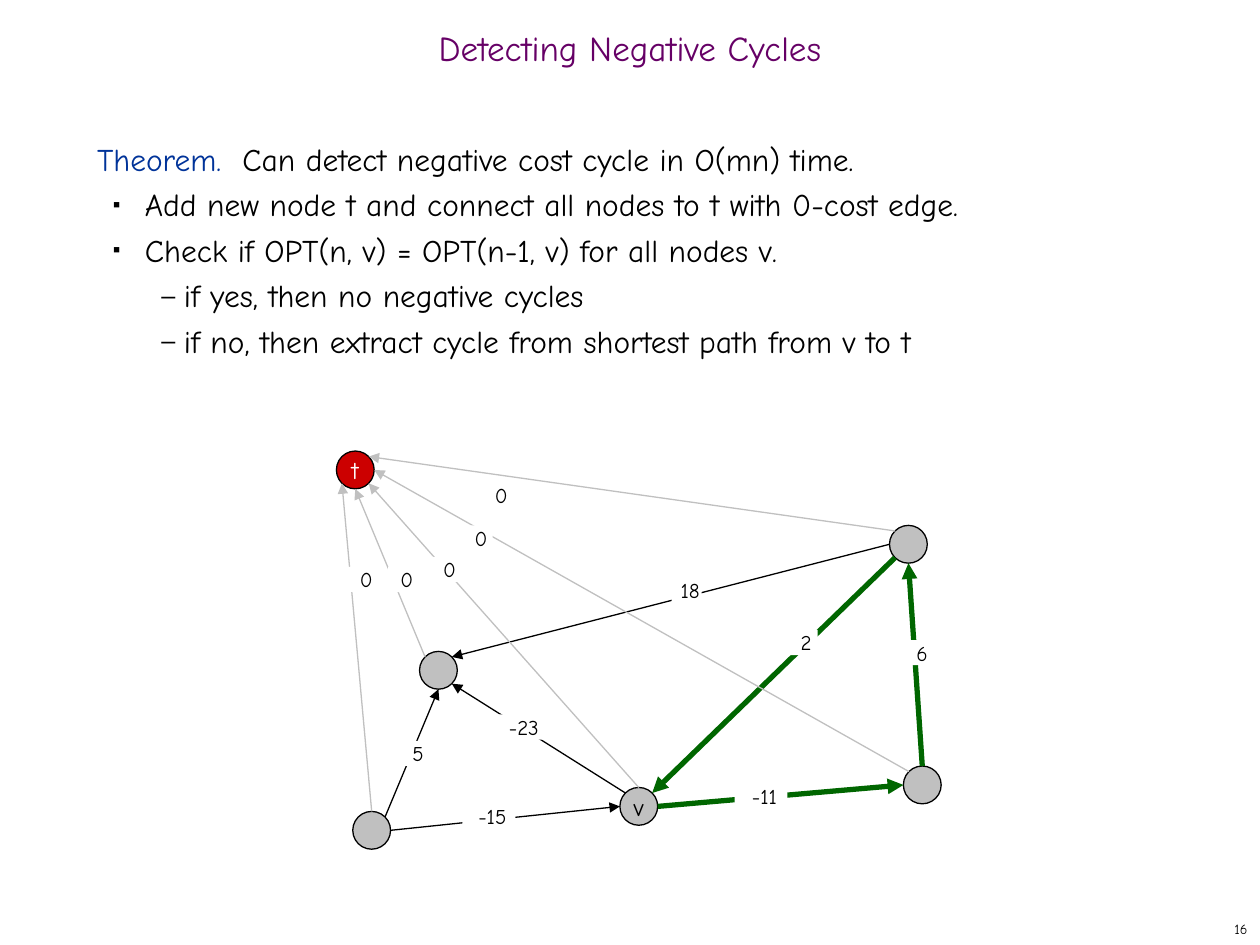
from dataclasses import dataclass
from math import sqrt

from lxml import etree
from pptx import Presentation
from pptx.dml.color import RGBColor
from pptx.enum import shapes, text
from pptx.oxml import ns
from pptx.util import Inches, Pt

FONT = "Comic Neue"
COLORS = {"black": "000000", "white": "FFFFFF", "gray": "C0C0C0", "red": "CC0000",
          "green": "006600", "blue": "003399", "purple": "660066"}
RADIUS = 0.15
DIAG = sqrt(0.5)
COMPASS = {"N": (0, -1), "S": (0, 1), "W": (-1, 0), "E": (1, 0),
           "NW": (-DIAG, -DIAG), "NE": (DIAG, -DIAG),
           "SW": (-DIAG, DIAG), "SE": (DIAG, DIAG)}


@dataclass
class Node:
    x: float
    y: float
    label: str = ""
    fill: str = "gray"
    ink: str = "black"

    def rim(self, side: str) -> tuple:
        dx, dy = COMPASS[side]
        return Inches(self.x + RADIUS * dx), Inches(self.y + RADIUS * dy)


@dataclass
class Edge:
    start: str
    start_side: str
    end: str
    end_side: str
    color: str = "black"
    width: float = 0.75


@dataclass
class Cost:
    value: str
    x: float
    y: float
    w: float = 0.24


NODES = {
    "right": Node(7.21, 4.32),
    "middle": Node(3.48, 5.32),
    "left": Node(2.95, 6.59),
    "corner": Node(7.32, 6.23),
    "v": Node(5.07, 6.4, "v"),
    "t": Node(2.82, 3.73, "t", "red", "white"),
}
GRAPH_EDGES = [
    Edge("right", "W", "middle", "NE"),
    Edge("corner", "N", "right", "S", "green", 3),
    Edge("v", "NW", "middle", "SE"),
    Edge("v", "E", "corner", "W", "green", 3),
    Edge("right", "SW", "v", "NE", "green", 3),
    Edge("left", "NE", "middle", "S"),
    Edge("left", "E", "v", "W"),
]
ZERO_EDGES = [Edge(start, side, "t", t_side, "gray") for start, side, t_side in (
    ("right", "NW", "NE"), ("middle", "NW", "S"), ("left", "N", "SW"),
    ("corner", "NW", "E"), ("v", "N", "SE"))]
GRAPH_COSTS = [
    Cost("18", 5.33, 4.58), Cost("2", 6.25, 5), Cost("5", 3.17, 5.88),
    Cost("-23", 3.92, 5.67, 0.42), Cost("-15", 3.67, 6.38, 0.42),
    Cost("-11", 5.83, 6.22, 0.42), Cost("6", 7.17, 5.08),
]
ZERO_COSTS = [Cost("0", x, y) for x, y in (
    (2.76, 4.5), (3.83, 3.83), (3.08, 4.5), (3.42, 4.42), (3.67, 4.17))]

# Level, runs of (text, colour)
BODY = [
    (0, [("Theorem.  ", "blue"),
         ("Can detect negative cost cycle in O(mn) time.", "black")]),
    (1, [("Add new node t and connect all nodes to t with 0-cost edge.", "black")]),
    (1, [("Check if OPT(n, v) = OPT(n-1, v) for all nodes v.", "black")]),
    (2, [("if yes, then no negative cycles", "black")]),
    (2, [("if no, then extract cycle from shortest path from v to t", "black")]),
]
# Level: bullet, size in percent, left margin, first-line indent
BULLETS = {0: (None, 0, 0, 0), 1: ("■", 35, 0.38, -0.25), 2: ("–", 80, 0.69, -0.18)}


def rgb(name: str) -> RGBColor:
    return RGBColor.from_string(COLORS[name])


def write(p, content: str, *, size: float, color: str = "black", align=None):
    r = p.add_run()
    r.text = content
    r.font.name, r.font.size = FONT, Pt(size)
    r.font.color.rgb = rgb(color)
    if align is not None:
        p.alignment = align


def place(sp, x: float, y: float, w: float, h: float):
    sp.left, sp.top, sp.width, sp.height = map(Inches, (x, y, w, h))


def set_bullet(p, level: int):
    char, percent, margin, indent = BULLETS[level]
    pPr = p._p.get_or_add_pPr()
    pPr.set("marL", str(Inches(margin)))
    pPr.set("indent", str(Inches(indent)))
    if char is None:
        etree.SubElement(pPr, ns.qn("a:buNone"))
        return
    clr = etree.SubElement(pPr, ns.qn("a:buClr"))
    etree.SubElement(clr, ns.qn("a:srgbClr"), val=COLORS["black"])
    etree.SubElement(pPr, ns.qn("a:buSzPct"), val=str(percent * 1000))
    etree.SubElement(pPr, ns.qn("a:buChar"), char=char)


def draw_node(slide, node: Node):
    x, y, d = (Inches(n) for n in (node.x - RADIUS, node.y - RADIUS, 2 * RADIUS))
    sp = slide.shapes.add_shape(shapes.MSO_SHAPE.OVAL, x, y, d, d)
    sp.shadow.inherit = False
    sp.fill.solid()
    sp.fill.fore_color.rgb = rgb(node.fill)
    sp.line.color.rgb = rgb("black")
    sp.line.width = Pt(0.75)
    if node.label:
        tf = sp.text_frame
        tf.word_wrap = False
        write(tf.paragraphs[0], node.label, size=14, color=node.ink,
              align=text.PP_ALIGN.CENTER)


def draw_edge(slide, edge: Edge):
    line = slide.shapes.add_connector(
        shapes.MSO_CONNECTOR.STRAIGHT,
        *NODES[edge.start].rim(edge.start_side), *NODES[edge.end].rim(edge.end_side))
    line.line.color.rgb = rgb(edge.color)
    line.line.width = Pt(edge.width)
    etree.SubElement(line.line._get_or_add_ln(), ns.qn("a:tailEnd"), type="triangle")
    etree.SubElement(line._element.spPr, ns.qn("a:effectLst"))


def draw_cost(slide, cost: Cost):
    sp = slide.shapes.add_textbox(*map(Inches, (cost.x, cost.y, cost.w, 0.2)))
    sp.fill.solid()
    sp.fill.fore_color.rgb = rgb("white")
    tf = sp.text_frame
    tf.word_wrap = True
    tf.margin_left = tf.margin_right = tf.margin_top = tf.margin_bottom = 0
    write(tf.paragraphs[0], " " + cost.value, size=12, align=text.PP_ALIGN.CENTER)


def main():
    prs = Presentation()
    prs.slide_width, prs.slide_height = Inches(10), Inches(7.5)
    slide = prs.slides.add_slide(prs.slide_layouts[1])
    title, body = slide.placeholders

    # Title
    place(title, 0, 0.17, 10, 0.5)
    tf = title.text_frame
    tf.auto_size = text.MSO_AUTO_SIZE.NONE
    tf.vertical_anchor = text.MSO_ANCHOR.MIDDLE
    p = tf.paragraphs[0]
    p.line_spacing = 0.7
    write(p, "Detecting Negative Cycles", size=20, color="purple",
          align=text.PP_ALIGN.CENTER)

    # Theorem and its steps
    place(body, 0.67, 1, 8.58, 5.92)
    tf = body.text_frame
    tf.auto_size = text.MSO_AUTO_SIZE.NONE
    for i, (level, runs) in enumerate(BODY):
        p = tf.add_paragraph() if i else tf.paragraphs[0]
        p.level = level
        p.line_spacing, p.space_before = Pt(26), Pt(0)
        set_bullet(p, level)
        for content, color in runs:
            write(p, content, size=18, color=color)

    # Graph, with the zero-cost edges to t on top
    for node in NODES.values():
        draw_node(slide, node)
    for edges, costs in ((GRAPH_EDGES, GRAPH_COSTS), (ZERO_EDGES, ZERO_COSTS)):
        for edge in edges:
            draw_edge(slide, edge)
        for cost in costs:
            draw_cost(slide, cost)

    # Page number
    sp = slide.shapes.add_textbox(*map(Inches, (7.92, 7.25, 2.08, 0.25)))
    tf = sp.text_frame
    tf.word_wrap = True
    tf.vertical_anchor = text.MSO_ANCHOR.MIDDLE
    write(tf.paragraphs[0], "16", size=8, align=text.PP_ALIGN.RIGHT)

    prs.save("out.pptx")


if __name__ == "__main__":
    main()
